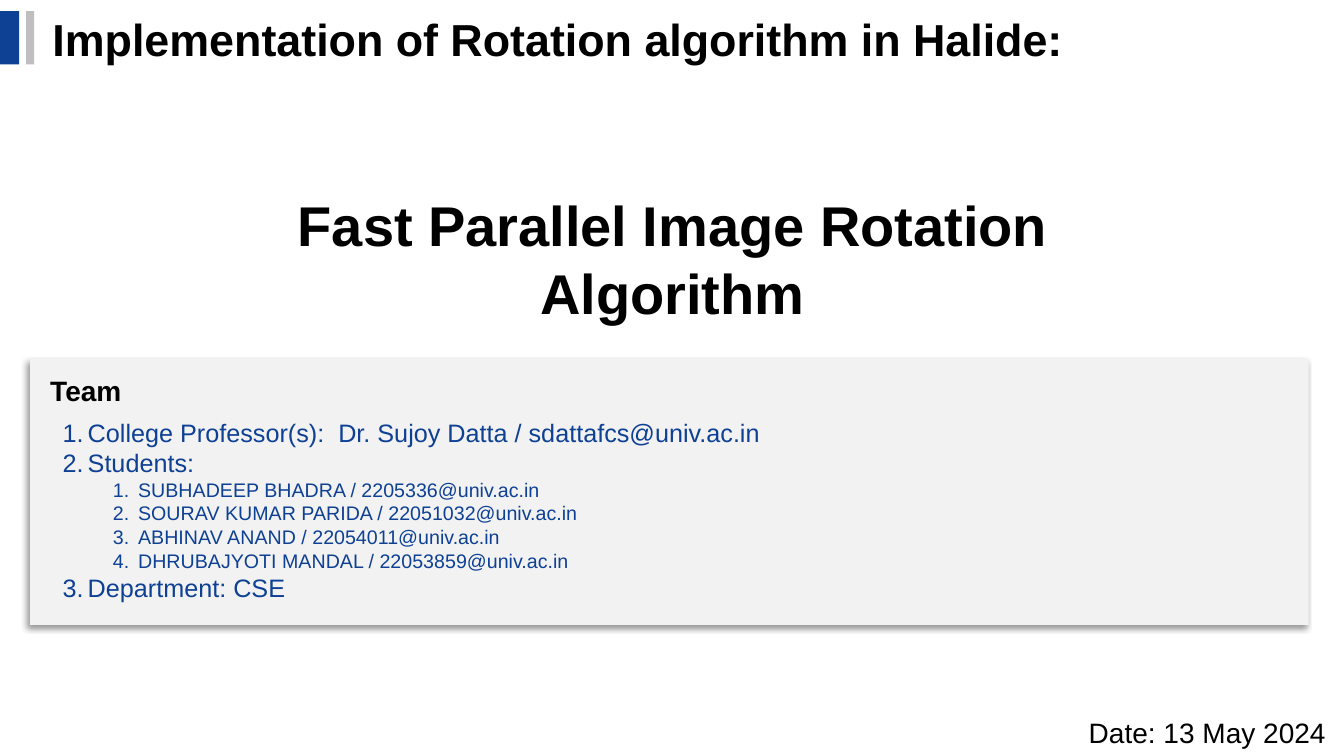
from dataclasses import dataclass

from lxml.etree import SubElement
from pptx import Presentation
from pptx.dml.color import RGBColor
from pptx.enum.shapes import MSO_SHAPE
from pptx.enum.text import MSO_ANCHOR, MSO_AUTO_SIZE, PP_ALIGN
from pptx.oxml import parse_xml
from pptx.oxml.ns import nsdecls, qn
from pptx.util import Inches, Pt


@dataclass(frozen=True)
class Theme:
    font: str = "Arial"
    black: str = "000000"
    blue: str = "0E4094"
    grey: str = "BFBFBF"
    panel: str = "F2F2F2"
    headline: int = 40
    title: int = 32
    label: int = 20
    item: int = 18
    subitem: int = 14


THEME = Theme()

# Each entry is (level, text)
TEAM = [
    (0, "College Professor(s):  Dr. Sujoy Datta / sdattafcs@univ.ac.in"),
    (0, "Students:"),
    (1, "SUBHADEEP BHADRA / 2205336@univ.ac.in"),
    (1, "SOURAV KUMAR PARIDA / 22051032@univ.ac.in"),
    (1, "ABHINAV ANAND / 22054011@univ.ac.in"),
    (1, "DHRUBAJYOTI MANDAL / 22053859@univ.ac.in"),
    (0, "Department: CSE"),
]


def place(sp, left, top, width, height):
    sp.left, sp.top = Inches(left), Inches(top)
    sp.width, sp.height = Inches(width), Inches(height)


def write(p, text, size, color=THEME.black, bold=False, align=PP_ALIGN.LEFT):
    """Add one formatted run to a paragraph."""
    p.alignment = align
    p.space_before = Pt(0)
    r = p.add_run()
    r.text = text
    r.font.name = THEME.font
    r.font.size = Pt(size)
    r.font.bold = bold
    r.font.color.rgb = RGBColor.from_string(color)


def prepare_frame(sp, anchor):
    tf = sp.text_frame
    tf.word_wrap = True
    tf.auto_size = MSO_AUTO_SIZE.NONE
    tf.vertical_anchor = anchor
    return tf


def add_text(s, box, text, size, anchor=MSO_ANCHOR.MIDDLE, **style):
    sp = s.shapes.add_textbox(*map(Inches, box))
    write(prepare_frame(sp, anchor).paragraphs[0], text, size, **style)


def add_block(s, box, color):
    sp = s.shapes.add_shape(MSO_SHAPE.RECTANGLE, *map(Inches, box))
    sp.shadow.inherit = False
    sp.fill.solid()
    sp.fill.fore_color.rgb = RGBColor.from_string(color)
    sp.line.fill.background()
    return sp


def add_shadow(sp):
    """Cast a soft shadow towards the lower left."""
    effects = sp._element.spPr.find(qn("a:effectLst"))
    effects.append(parse_xml(
        f'<a:outerShdw {nsdecls("a")} blurRad="{Pt(4)}" dist="{Pt(3)}" '
        f'dir="{135 * 60000}" algn="tr" rotWithShape="0">'
        f'<a:srgbClr val="{THEME.black}"><a:alpha val="40000"/></a:srgbClr>'
        '</a:outerShdw>'))


def number_paragraph(p, level):
    """Number a paragraph with a hanging indent for its level."""
    p.level = level
    pPr = p._p.get_or_add_pPr()
    pPr.set("marL", str(Inches(0.25 + 0.5 * level)))
    pPr.set("indent", str(Inches(-0.25)))
    color = SubElement(pPr, qn("a:buClr"))
    SubElement(color, qn("a:srgbClr")).set("val", THEME.blue)
    SubElement(pPr, qn("a:buFont")).set("typeface", THEME.font)
    SubElement(pPr, qn("a:buAutoNum")).set("type", "arabicPeriod")


def fill_title(sp, text):
    place(sp, 0.42, 0.06, 10.28, 0.64)
    tf = prepare_frame(sp, MSO_ANCHOR.MIDDLE)
    write(tf.paragraphs[0], text, THEME.title, bold=True)


def fill_team(sp, entries):
    place(sp, 0.52, 4.09, 11.91, 1.95)
    tf = prepare_frame(sp, MSO_ANCHOR.TOP)
    for i, (level, text) in enumerate(entries):
        p = tf.add_paragraph() if i else tf.paragraphs[0]
        write(p, text, THEME.subitem if level else THEME.item, color=THEME.blue)
        number_paragraph(p, level)


def main():
    prs = Presentation()
    prs.slide_width, prs.slide_height = Inches(13.33), Inches(7.5)
    s = prs.slides.add_slide(prs.slide_layouts[1])
    title, body = s.placeholders

    # Team panel, kept behind the placeholder text
    panel = add_block(s, (0.3, 3.56, 12.68, 2.64), THEME.panel)
    add_shadow(panel)
    title._element.addprevious(panel._element)

    # Title with its accent bars
    add_block(s, (0, 0.11, 0.19, 0.53), THEME.blue)
    add_block(s, (0.26, 0.11, 0.08, 0.53), THEME.grey)
    fill_title(title, "Implementation of Rotation algorithm in Halide:")

    # Headline
    add_text(s, (1.53, 1.84, 10.28, 1.44), "Fast Parallel Image Rotation Algorithm",
             THEME.headline, bold=True, align=PP_ALIGN.CENTER)

    # Team list
    add_text(s, (0.4, 3.66, 1.8, 0.44), "Team", THEME.label,
             anchor=MSO_ANCHOR.TOP, bold=True)
    fill_team(body, TEAM)

    # Date
    add_text(s, (10.7, 7.04, 2.63, 0.44), "Date: 13 May 2024", THEME.label)

    prs.save("out.pptx")


if __name__ == "__main__":
    main()
